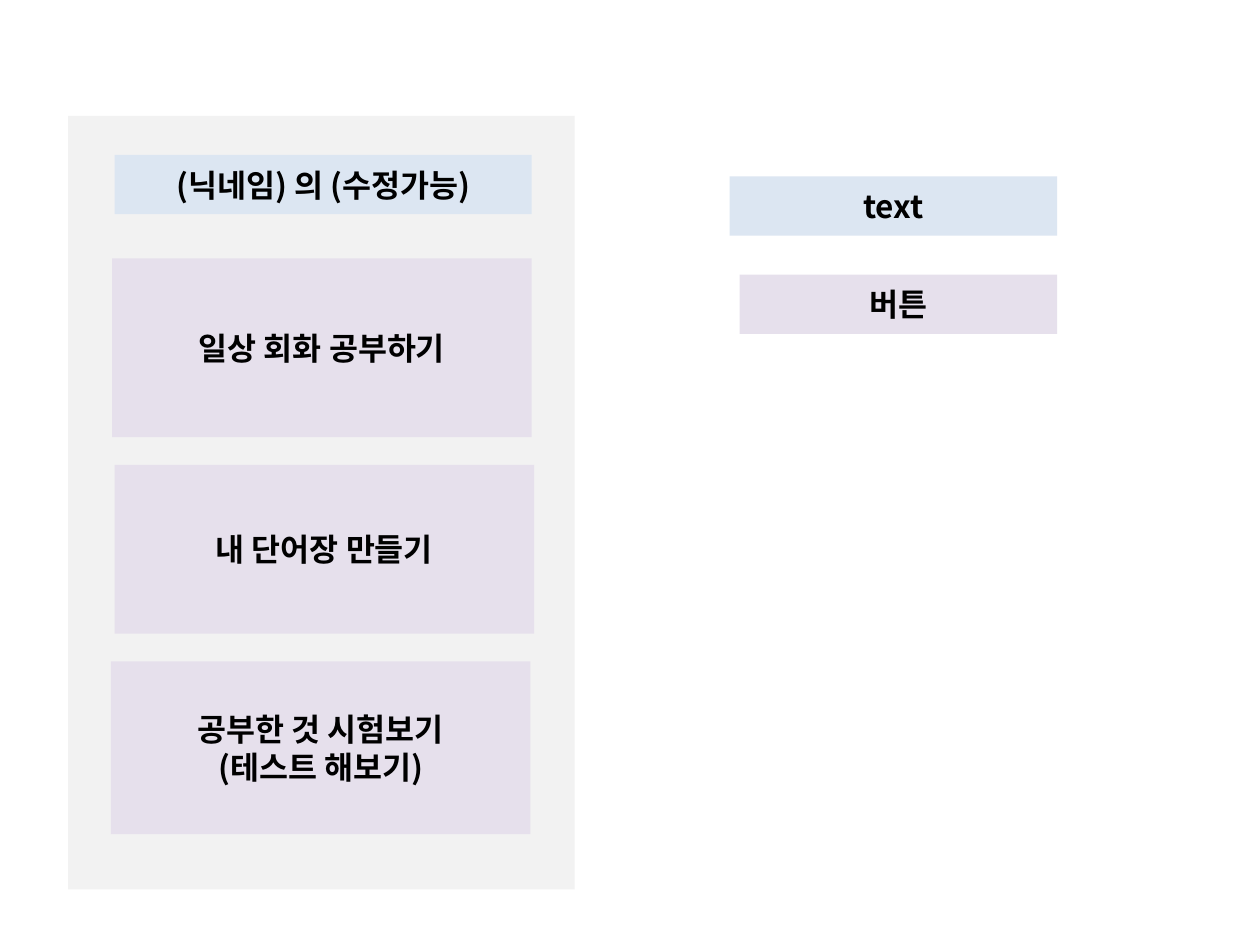
from collections import namedtuple

from lxml.etree import SubElement
from pptx import Presentation
from pptx.dml.color import RGBColor
from pptx.enum.shapes import MSO_SHAPE
from pptx.enum.text import MSO_ANCHOR, PP_ALIGN
from pptx.oxml.ns import qn
from pptx.util import Inches, Pt

# The slide is a grid of 100 columns by 75 rows of square cells
CELL = 0.1
COLUMNS, ROWS = 100, 75
FONT = "Noto Sans CJK KR"
PANEL_FILL, TEXT_FILL, BUTTON_FILL = "F2F2F2", "DCE6F2", "E6E0EC"
LABEL_HEIGHT = 4.7

Box = namedtuple("Box", "left top width height")


def cells(count):
    return Inches(count * CELL)


def color(value):
    return RGBColor.from_string(value)


def add_text(frame, text, size=18, bold=True, fill="000000", align=PP_ALIGN.CENTER):
    frame.word_wrap = True
    frame.vertical_anchor = MSO_ANCHOR.MIDDLE
    for index, line in enumerate(text.split("\n")):
        para = frame.add_paragraph() if index else frame.paragraphs[0]
        para.alignment = align
        span = para.add_run()
        span.text = line
        span.font.size = Pt(size)
        span.font.bold = bold
        span.font.name = FONT
        span.font.color.rgb = color(fill)
        # Hangul takes the East Asian typeface
        SubElement(span.font._element, qn("a:ea"), typeface=FONT)


def add_block(page, box, fill, text=None):
    shape = page.shapes.add_shape(MSO_SHAPE.RECTANGLE, *map(cells, box))
    shape.shadow.inherit = False
    shape.fill.solid()
    shape.fill.fore_color.rgb = color(fill)
    shape.line.fill.background()
    if text:
        add_text(shape.text_frame, text)


def add_menu_panel(page, box):
    add_block(page, box, PANEL_FILL)

    # Heading
    heading = Box(box.left + 3.7, box.top + 3.1, 33.1, LABEL_HEIGHT)
    add_block(page, heading, TEXT_FILL, "(닉네임) 의 (수정가능)")

    # Buttons, stacked with equal gaps
    buttons = [
        ("일상 회화 공부하기", 3.5, 14.2),
        ("내 단어장 만들기", 3.7, 13.4),
        ("공부한 것 시험보기\n(테스트 해보기)", 3.4, 13.7),
    ]
    gap = 2.2
    top = box.top + 11.3
    for text, indent, height in buttons:
        add_block(page, Box(box.left + indent, top, 33.3, height), BUTTON_FILL, text)
        top += height + gap


def add_legend(page, box):
    # Labels share the right edge, one at the top and one at the bottom
    labels = [
        ("text", TEXT_FILL, box.width, box.top),
        ("버튼", BUTTON_FILL, 25.2, box.top + box.height - LABEL_HEIGHT),
    ]
    for text, fill, width, top in labels:
        left = box.left + box.width - width
        add_block(page, Box(left, top, width, LABEL_HEIGHT), fill, text)


def main():
    deck = Presentation()
    deck.slide_width, deck.slide_height = cells(COLUMNS), cells(ROWS)
    page = deck.slides.add_slide(deck.slide_layouts[6])
    add_menu_panel(page, Box(5.4, 9.2, 40.2, 61.4))
    add_legend(page, Box(57.9, 14, 26, 12.5))
    deck.save("out.pptx")


if __name__ == "__main__":
    main()
